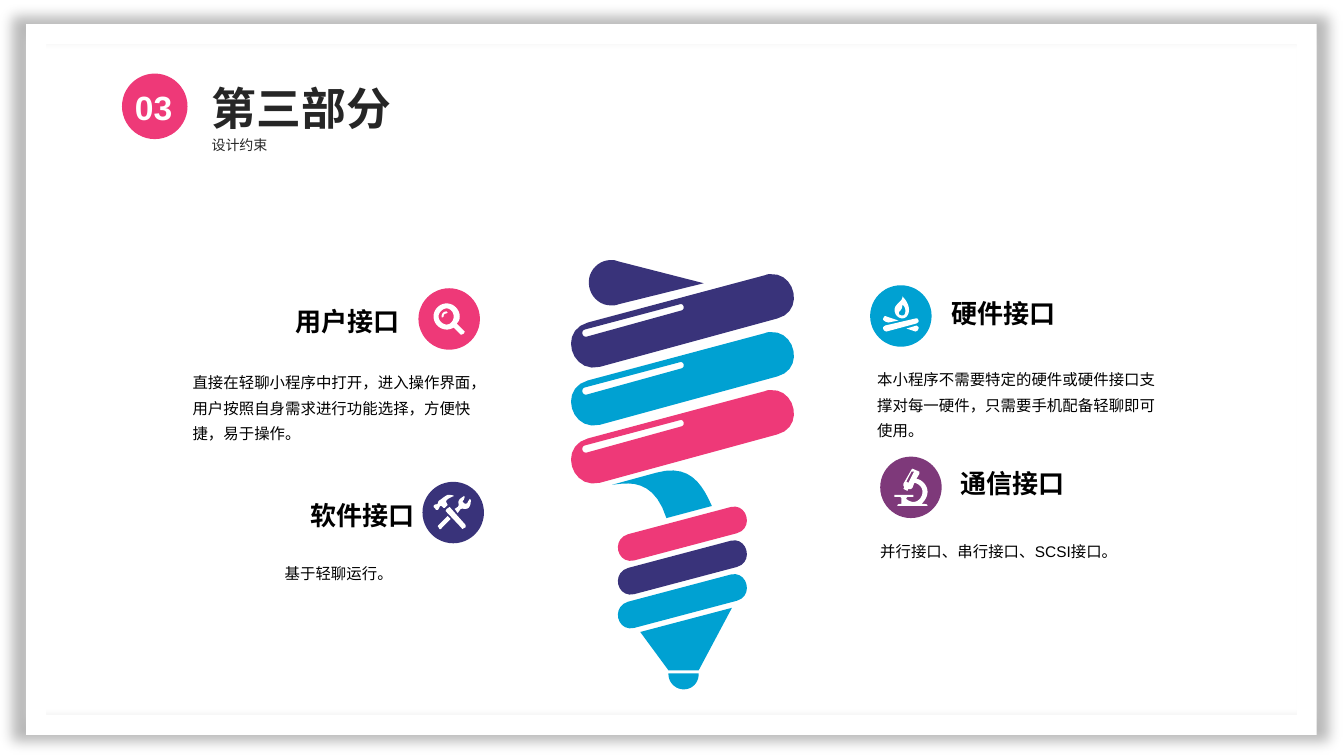
from lxml import etree
from pptx import Presentation
from pptx.dml.color import RGBColor
from pptx.enum.shapes import MSO_SHAPE
from pptx.enum.text import MSO_ANCHOR, MSO_AUTO_SIZE, PP_ALIGN
from pptx.oxml.ns import qn
from pptx.util import Inches, Pt

LEFT, CENTER, JUSTIFY = PP_ALIGN.LEFT, PP_ALIGN.CENTER, PP_ALIGN.JUSTIFY
TOP = MSO_ANCHOR.TOP
NO_AUTOFIT = MSO_AUTO_SIZE.NONE
OVAL, FRAME = MSO_SHAPE.OVAL, MSO_SHAPE.FRAME
TITLE_ONLY = 5
PINK, NAVY, BLUE, PURPLE = "EE3978", "39337A", "00A1D2", "7E397A"
WHITE, BLACK, DARK = "FFFFFF", "000000", "262626"
CJK_FONT = "Noto Sans CJK SC"
CELL = Inches(0.01)
POINTS_PER_CELL = 100
CURVE_STEPS = 10
BADGE_SIZE = 61

CAP = "M 40 0 C 42 0 44 0 46 1 L 132 23 L 47 44 C 45 45 43 45 40 45 C 28 45 18 35 18 22 C 18 10 28 0 40 0 Z"
RIBBON = "M 85 211 C 117 202 130 221 140 244 L 95 256 C 82 216 57 221 41 223 Z"
CONE = "M 160 345 L 127 407 L 97 407 L 69 369 Z"
NIB = "M 127 410 L 127 411 C 127 419 121 426 112 426 C 104 426 97 419 97 411 L 97 410 Z"
WIDE_BAND = (
    "M 108 30 L 14 55 C 10 56 11 63 16 62 L 110 36 C 114 35 112 28 108 30 Z "
    "M 198 0 C 223 -2 232 37 205 44 L 29 92 C 0 99 -12 56 17 48 L 193 1 C 195 0 197 0 198 0 Z"
)
NARROW_BAND = "M 17 31 C 0 36 6 61 23 57 L 125 30 C 142 25 135 0 119 4 Z"

MAGNIFIER = (
    "M 45 42 L 46 43 L 45 45 L 43 46 L 42 46 L 35 39 C 33 40 31 41 28 41 C 21 41 15 35 15 28 "
    "C 15 21 21 15 28 15 C 35 15 41 21 41 28 C 41 31 40 33 38 35 Z "
    "M 20 28 C 20 32 24 36 28 36 C 32 36 35 32 35 28 C 35 24 32 20 28 20 C 24 20 20 24 20 28 Z "
    "M 28 23 L 29 24 L 28 25 C 26 25 25 26 25 28 L 24 29 L 23 29 L 23 28 C 23 25 25 23 28 23 Z",
)
TOOLS = (
    "M 17 25 C 18 23 19 24 21 26 L 22 26 L 25 23 L 24 21 C 21 17 33 14 31 14 C 30 13 26 13 25 13 "
    "C 23 14 20 16 19 17 L 16 19 L 15 22 C 13 23 13 22 12 23 L 11 24 L 11 25 L 13 27 "
    "C 13 28 14 28 15 28 L 16 27 Z "
    "M 27 25 L 24 27 L 23 29 L 39 46 C 39 47 40 47 41 46 L 43 45 L 43 43 Z "
    "M 48 18 L 47 17 L 45 20 C 45 21 43 23 41 21 C 39 19 40 19 41 18 L 42 15 L 41 14 "
    "C 41 15 37 16 36 19 C 35 21 37 23 35 25 L 32 27 L 35 31 L 38 27 C 39 27 40 26 41 27 "
    "C 45 27 46 26 47 24 C 48 22 48 19 48 18 Z "
    "M 16 43 C 15 44 15 45 16 45 L 17 47 C 18 47 19 47 19 46 L 28 37 L 25 34 Z",
)
CAMPFIRE = (
    "M 15 36 L 18 37 L 28 35 L 16 31 C 15 30 15 31 14 31 L 13 33 L 13 34 C 13 35 14 35 15 36 Z",
    "M 46 40 L 36 43 L 45 46 L 47 45 L 48 43 L 48 42 C 48 41 47 41 46 40 Z",
    "M 47 33 L 45 33 L 15 40 C 14 41 13 41 13 42 L 13 43 C 13 44 14 45 14 45 L 16 46 L 46 38 "
    "C 47 37 48 37 48 36 L 48 35 C 48 34 47 34 47 33 Z",
    "M 25 28 C 27 33 34 35 37 30 C 41 24 37 16 32 11 C 33 17 21 19 25 28 Z "
    "M 29 26 C 30 25 32 24 32 19 C 37 23 35 31 32 30 C 28 30 28 27 29 26 Z",
)
MICROSCOPE = (
    "M 42 47 L 41 47 C 44 44 47 40 47 35 C 47 29 42 23 36 22 L 39 17 L 39 15 L 32 12 L 31 13 "
    "L 23 27 C 23 28 23 30 24 30 L 23 32 L 27 34 L 28 32 C 30 33 31 32 32 31 L 34 26 "
    "C 39 27 42 31 42 35 C 42 40 38 45 33 45 C 31 45 28 44 26 42 L 26 41 L 27 40 L 33 40 L 33 38 "
    "L 14 38 L 14 40 L 20 40 L 21 41 L 21 47 C 19 47 17 47 17 49 L 47 49 C 47 47 45 47 42 47 Z "
    "M 34 15 L 33 16 L 28 26 L 26 25 L 31 15 Z",
)

CARDS = [
    ((415, 286), PINK, MAGNIFIER, "用户接口", (-132, 12),
     "直接在轻聊小程序中打开，进入操作界面，用户按照自身需求进行功能选择，方便快捷，易于操作。", (-229, 75), LEFT),
    ((419, 478), NAVY, TOOLS, "软件接口", (-121, 13), "基于轻聊运行。", (-232, 72), CENTER),
    ((863, 283), BLUE, CAMPFIRE, "硬件接口", (71, 7),
     "本小程序不需要特定的硬件或硬件接口支撑对每一硬件，只需要手机配备轻聊即可使用。", (2, 75), LEFT),
    ((873, 453), PURPLE, MICROSCOPE, "通信接口", (70, 6), "并行接口、串行接口、SCSI接口。", (-5, 75), LEFT),
]


def color(value):
    return RGBColor.from_string(value)


def cells(*values):
    return [round(value * CELL) for value in values]


def set_attributes(target, values):
    for name, value in values.items():
        setattr(target, name, value)


def paint(shape, fill):
    shape.fill.solid()
    shape.fill.fore_color.rgb = color(fill)
    shape.line.fill.background()
    shape.shadow.inherit = False
    return shape


def curve_points(points):
    for step in range(1, CURVE_STEPS + 1):
        t = step / CURVE_STEPS
        weights = ((1 - t) ** 3, 3 * t * (1 - t) ** 2, 3 * t * t * (1 - t), t ** 3)
        yield tuple(sum(w * p[axis] for w, p in zip(weights, points)) for axis in (0, 1))


def draw_outline(shapes, left, top, outline, fill):
    builder = shapes.build_freeform(0, 0, scale=CELL / POINTS_PER_CELL)
    started = False
    for contour in outline.split("Z")[:-1]:
        points = []
        for command in contour.replace("M", "|").replace("L", "|").replace("C", "|").split("|")[1:]:
            numbers = [float(number) * POINTS_PER_CELL for number in command.split()]
            pairs = list(zip(numbers[::2], numbers[1::2]))
            points += curve_points([points[-1]] + pairs) if len(pairs) == 3 else pairs
        if started:
            builder.move_to(*points[0])
        else:
            builder = shapes.build_freeform(*points[0], scale=CELL / POINTS_PER_CELL)
            started = True
        builder.add_line_segments(points[1:], close=True)
    return paint(builder.convert_to_shape(*cells(left, top)), fill)


def write_text(shape, text, size, fill=BLACK, bold=False, font="Arial",
               align=LEFT, spacing=1.0, margins=(10, 5)):
    side, edge = cells(*margins)
    frame = shape.text_frame
    set_attributes(frame, {
        "word_wrap": True, "auto_size": NO_AUTOFIT, "vertical_anchor": TOP,
        "margin_left": side, "margin_right": side, "margin_top": edge, "margin_bottom": edge,
    })
    paragraph = frame.paragraphs[0]
    set_attributes(paragraph, {"alignment": align, "line_spacing": spacing,
                               "space_before": Pt(0), "space_after": Pt(0)})
    run = paragraph.add_run()
    run.text = text
    set_attributes(run.font, {"size": Pt(size), "bold": bold, "name": font})
    run.font.color.rgb = color(fill)
    etree.SubElement(run._r.get_or_add_rPr(), qn("a:ea"), typeface=CJK_FONT)


def add_text(shapes, box, text, size, **style):
    write_text(shapes.add_textbox(*cells(*box)), text, size, **style)


def draw_frame(slide, box):
    shape = paint(slide.shapes.add_shape(FRAME, *cells(*box)), WHITE)
    shape.adjustments[0] = 0.028
    effects = shape._element.spPr.find(qn("a:effectLst"))
    shadow = etree.SubElement(effects, qn("a:outerShdw"), blurRad=str(Pt(9)), sx="102000",
                              sy="102000", algn="ctr", rotWithShape="0")
    shade = etree.SubElement(shadow, qn("a:srgbClr"), val=BLACK)
    etree.SubElement(shade, qn("a:alpha"), val="27000")


def draw_header(slide, left, top):
    title = slide.shapes.title
    set_attributes(title, dict(zip(("left", "top", "width", "height"),
                                   cells(left + 79, top, 319, 70))))
    write_text(title, "第三部分", 32, fill=DARK, bold=True, spacing=1.2)
    add_text(slide.shapes, (left + 79, top + 58, 445, 33), "设计约束", 10, fill=DARK, spacing=Pt(18))
    paint(slide.shapes.add_shape(OVAL, *cells(left, top + 9, 65, 65)), PINK)
    add_text(slide.shapes, (left + 3, top + 17, 62, 50), "03", 24, fill=WHITE, bold=True)


def draw_pencil(slide, left, top):
    for row, fill in enumerate((PINK, NAVY, BLUE)):
        draw_outline(slide.shapes, left + 40, top + 241 + 33.5 * row, NARROW_BAND, fill)
    for outline, fill in ((RIBBON, BLUE), (CONE, BLUE), (NIB, BLUE), (CAP, NAVY)):
        draw_outline(slide.shapes, left, top, outline, fill)
    for row, fill in enumerate((NAVY, BLUE, PINK)):
        draw_outline(slide.shapes, left, top + 14 + 57.5 * row, WIDE_BAND, fill)


def draw_card(slide, origin, fill, icon, heading, heading_shift, body, body_shift, align):
    left, top = origin
    badge = slide.shapes.add_group_shape().shapes
    paint(badge.add_shape(OVAL, *cells(left, top, BADGE_SIZE, BADGE_SIZE)), fill)
    for outline in icon:
        draw_outline(badge, left, top, outline, WHITE)
    add_text(slide.shapes, (left + heading_shift[0], top + heading_shift[1], 212, 41), heading, 18.6,
             bold=True, font=CJK_FONT, align=JUSTIFY)
    add_text(slide.shapes, (left + body_shift[0], top + body_shift[1], 298, 79), body, 11,
             align=align, spacing=Pt(18), margins=(5, 3))


def main():
    presentation = Presentation()
    set_attributes(presentation, {"slide_width": Inches(13.33), "slide_height": Inches(7.5)})
    slide = presentation.slides.add_slide(presentation.slide_layouts[TITLE_ONLY])
    draw_frame(slide, (26, 24, 1280, 705))
    draw_header(slide, 121, 64)
    draw_pencil(slide, 566, 258)
    for card in CARDS:
        draw_card(slide, *card)
    presentation.save("out.pptx")


if __name__ == "__main__":
    main()
